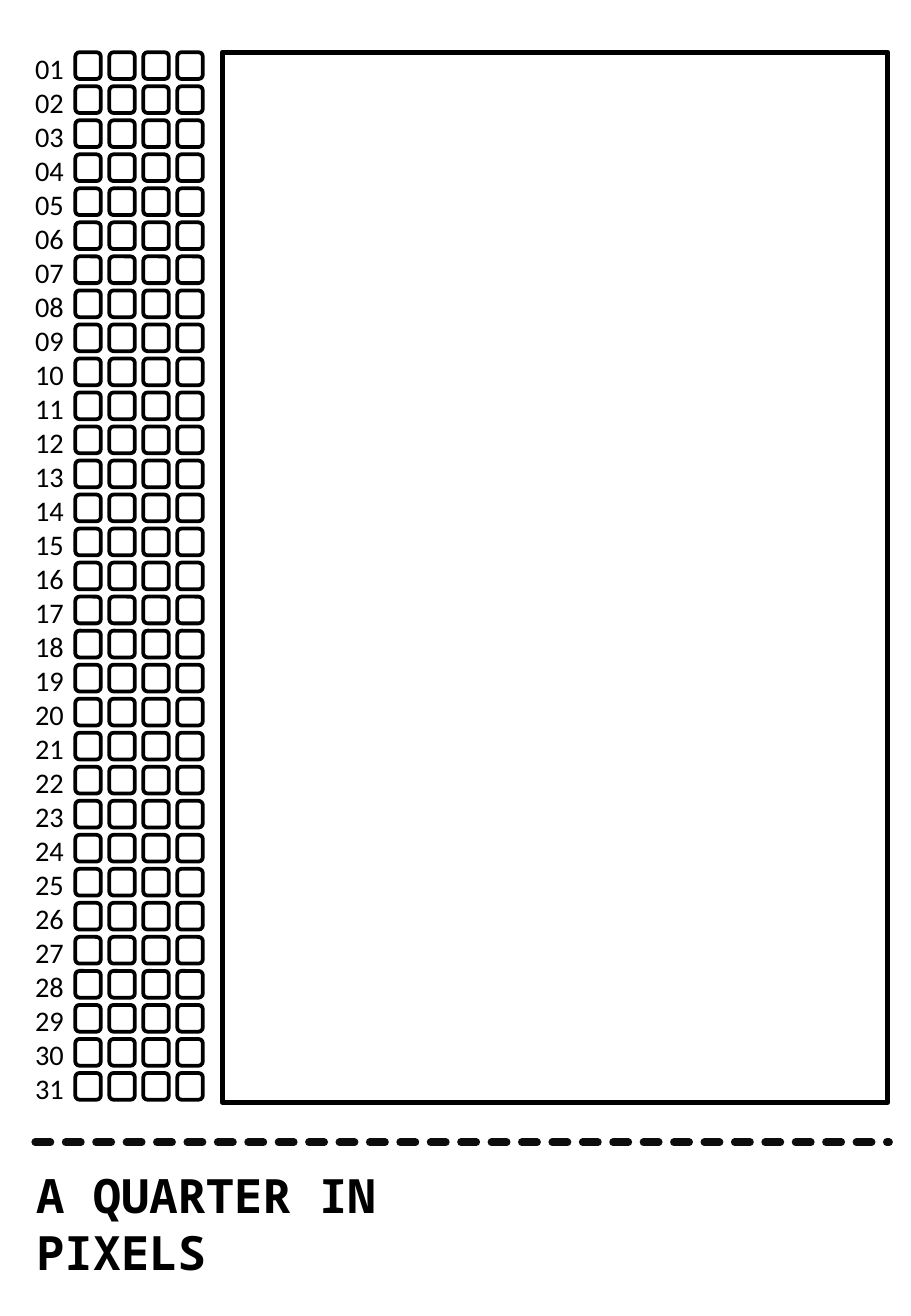
from lxml import etree
from pptx import Presentation
from pptx.dml.color import RGBColor
from pptx.enum.dml import MSO_LINE
from pptx.enum.shapes import MSO_CONNECTOR, MSO_SHAPE
from pptx.oxml.ns import qn
from pptx.util import Pt

RECTANGLE = MSO_SHAPE.RECTANGLE
ROUNDED = MSO_SHAPE.ROUNDED_RECTANGLE
STRAIGHT = MSO_CONNECTOR.STRAIGHT
SYSTEM_DASH = MSO_LINE.SQUARE_DOT

TITLE = "A QUARTER IN PIXELS"
DAYS = [f"{day:02d}" for day in range(1, 32)]
PIXELS_PER_DAY = 4

PAGE_WIDTH, PAGE_HEIGHT = 540, 779.76
BLACK, CUT_COLOR, WHITE = "000000", "0D0D0D", "FFFFFF"
GRID_LEFT, GRID_TOP, PITCH = 44.64, 30.96, 20.16
PIXEL_WIDTH, PIXEL_HEIGHT = 15.12, 15.84
DAYS_BOX = (13.68, 26.64, 36.72, 658.8)
TITLE_BOX = (14.4, 687.6, 278.64, 74.88)
DRAWING_FRAME = (131.76, 30.96, 394.56, 622.08)
CUT_LEFT, CUT_RIGHT, CUT_Y = 20.88, 527.04, 676.8
LINE_RATIO = 1.2


def color(hex_string):
    return RGBColor.from_string(hex_string)


def add_text(shapes, box, text, font, size, bold=False):
    frame = shapes.add_textbox(*map(Pt, box)).text_frame
    frame.word_wrap = True
    frame.text = text
    for paragraph in frame.paragraphs:
        paragraph.line_spacing = Pt(size * LINE_RATIO)
        paragraph.font.name = font
        paragraph.font.size = Pt(size)
        paragraph.font.bold = bold
        paragraph.font.color.rgb = color(BLACK)


def add_outline(shapes, kind, box, width, fill=None):
    outline = shapes.add_shape(kind, *map(Pt, box))
    outline.shadow.inherit = False
    outline.line.color.rgb = color(BLACK)
    outline.line.width = Pt(width)
    if fill:
        outline.fill.solid()
        outline.fill.fore_color.rgb = color(fill)
    else:
        outline.fill.background()


def add_cut_line(shapes):
    cut = shapes.add_connector(STRAIGHT, Pt(CUT_LEFT), Pt(CUT_Y), Pt(CUT_RIGHT), Pt(CUT_Y))
    cut.line.color.rgb = color(CUT_COLOR)
    cut.line.width = Pt(4.5)
    cut.line.dash_style = SYSTEM_DASH
    properties = cut._element.spPr
    properties.find(qn("a:ln")).set("cap", "rnd")
    etree.SubElement(properties, qn("a:effectLst"))


presentation = Presentation()
presentation.slide_width = Pt(PAGE_WIDTH)
presentation.slide_height = Pt(PAGE_HEIGHT)
slide = presentation.slides.add_slide(presentation.slide_layouts[6])
slide.background.fill.solid()
slide.background.fill.fore_color.rgb = color(WHITE)

add_text(slide.shapes, TITLE_BOX, TITLE, "Noto Sans Mono", 28, bold=True)

tracker = slide.shapes.add_group_shape().shapes
for column in range(PIXELS_PER_DAY):
    for row in range(len(DAYS)):
        pixel = (GRID_LEFT + column * PITCH, GRID_TOP + row * PITCH, PIXEL_WIDTH, PIXEL_HEIGHT)
        add_outline(tracker, ROUNDED, pixel, 2.25)
add_text(tracker, DAYS_BOX, "\n".join(DAYS), "Calibri", 16.8)

add_cut_line(slide.shapes)
add_outline(slide.shapes, RECTANGLE, DRAWING_FRAME, 3, fill=WHITE)

presentation.save("out.pptx")
